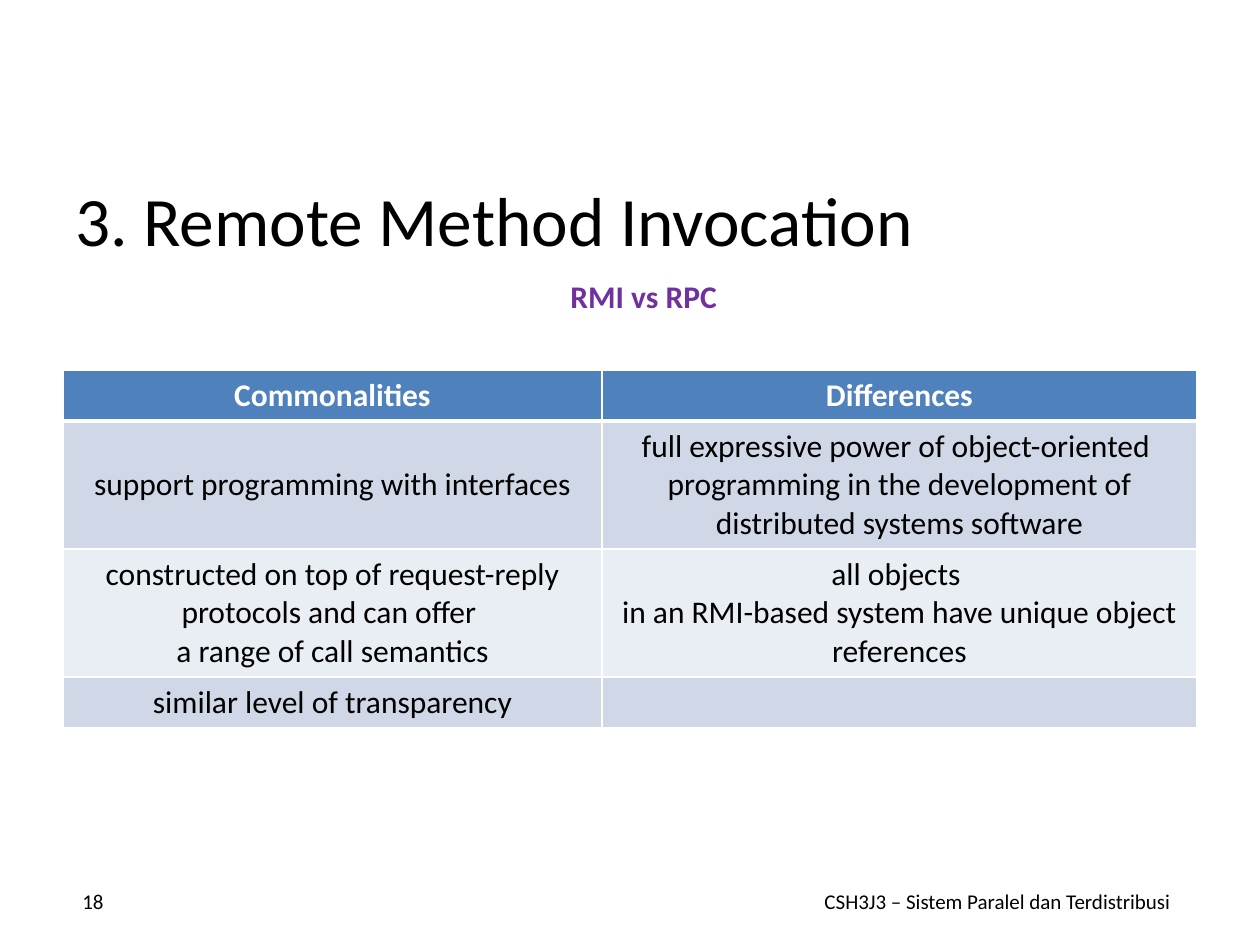
from lxml import etree
from pptx import Presentation
from pptx.dml.color import RGBColor
from pptx.enum.text import MSO_ANCHOR, PP_ALIGN
from pptx.oxml.ns import qn
from pptx.util import Pt

LEFT, CENTER, RIGHT = PP_ALIGN.LEFT, PP_ALIGN.CENTER, PP_ALIGN.RIGHT
TOP, MIDDLE = MSO_ANCHOR.TOP, MSO_ANCHOR.MIDDLE
FONT = "Calibri"
BLACK, WHITE, PURPLE = "000000", "FFFFFF", "7030A0"
HEADER_FILL, BANDS = "4F81BD", ("D0D8E8", "E9EDF4")
COLUMN_WIDTHS = (539, 595)
ROW_HEIGHTS = (51, 128, 128, 51)
ROWS = [
    ("Commonalities", "Differences"),
    ("support programming with interfaces",
     "full expressive power of object-oriented \n"
     "programming in the development of distributed systems software"),
    ("constructed on top of request-reply protocols and can offer \n"
     "a range of call semantics",
     "all objects \nin an RMI-based system have unique object references"),
    ("similar level of transparency", ""),
]


def px(n):
    return round(n * 914400 / 126)


def color(value):
    return RGBColor.from_string(value)


def write(tf, text, size, ink, align, bold=False):
    tf.text = text
    for p in tf.paragraphs:
        p.alignment = align
        p.font.name = FONT
        p.font.size = Pt(size)
        p.font.bold = bold
        p.font.color.rgb = color(ink)


def add_text(s, box, text, size, ink=BLACK, align=LEFT, anchor=MIDDLE,
             bold=False, wrap=True):
    sp = s.shapes.add_textbox(*map(px, box))
    tf = sp.text_frame
    tf.word_wrap = wrap
    tf.vertical_anchor = anchor
    write(tf, text, size, ink, align, bold)


def set_borders(cell, widths):
    tc_pr = cell._tc.get_or_add_tcPr()
    for i, (side, width) in enumerate(widths.items()):
        ln = etree.Element(qn(f"a:ln{side}"), w=str(Pt(width)))
        fill = etree.SubElement(ln, qn("a:solidFill"))
        etree.SubElement(fill, qn("a:srgbClr"), val=WHITE)
        tc_pr.insert(i, ln)


def add_comparison(s, left, top):
    box = left, top, sum(COLUMN_WIDTHS), sum(ROW_HEIGHTS)
    table = s.shapes.add_table(len(ROWS), len(COLUMN_WIDTHS), *map(px, box)).table
    table.horz_banding = False
    for column, width in zip(table.columns, COLUMN_WIDTHS):
        column.width = px(width)
    for i, texts in enumerate(ROWS):
        table.rows[i].height = px(ROW_HEIGHTS[i])
        header = i == 0
        for j, text in enumerate(texts):
            cell = table.cell(i, j)
            cell.vertical_anchor = MIDDLE
            cell.margin_left = cell.margin_right = px(10)
            cell.fill.solid()
            cell.fill.fore_color.rgb = color(HEADER_FILL if header else BANDS[(i - 1) % 2])
            write(cell.text_frame, text, 18, WHITE if header else BLACK, CENTER, header)
            set_borders(cell, {"L": 1, "R": 1, "T": 3 if i == 1 else 1,
                               "B": 3 if header else 1})


def add_heading(s, left, top):
    add_text(s, (left, top, 1134, 79), "3. Remote Method Invocation", 39.6)
    add_text(s, (left + 495, top + 92, 231, 50), "RMI vs RPC", 18, PURPLE,
             anchor=TOP, bold=True, wrap=False)


def add_footer(s, left, top):
    add_text(s, (left, top, 53, 50), "18", 12, align=RIGHT)
    add_text(s, (left + 735, top, 399, 50),
             "CSH3J3 – Sistem Paralel dan Terdistribusi", 12, align=CENTER)


def main():
    prs = Presentation()
    prs.slide_width, prs.slide_height = px(1260), px(945)
    s = prs.slides.add_slide(prs.slide_layouts[6])
    add_heading(s, 63, 179)
    add_comparison(s, 63, 370)
    add_footer(s, 63, 876)
    prs.save("out.pptx")


if __name__ == "__main__":
    main()
